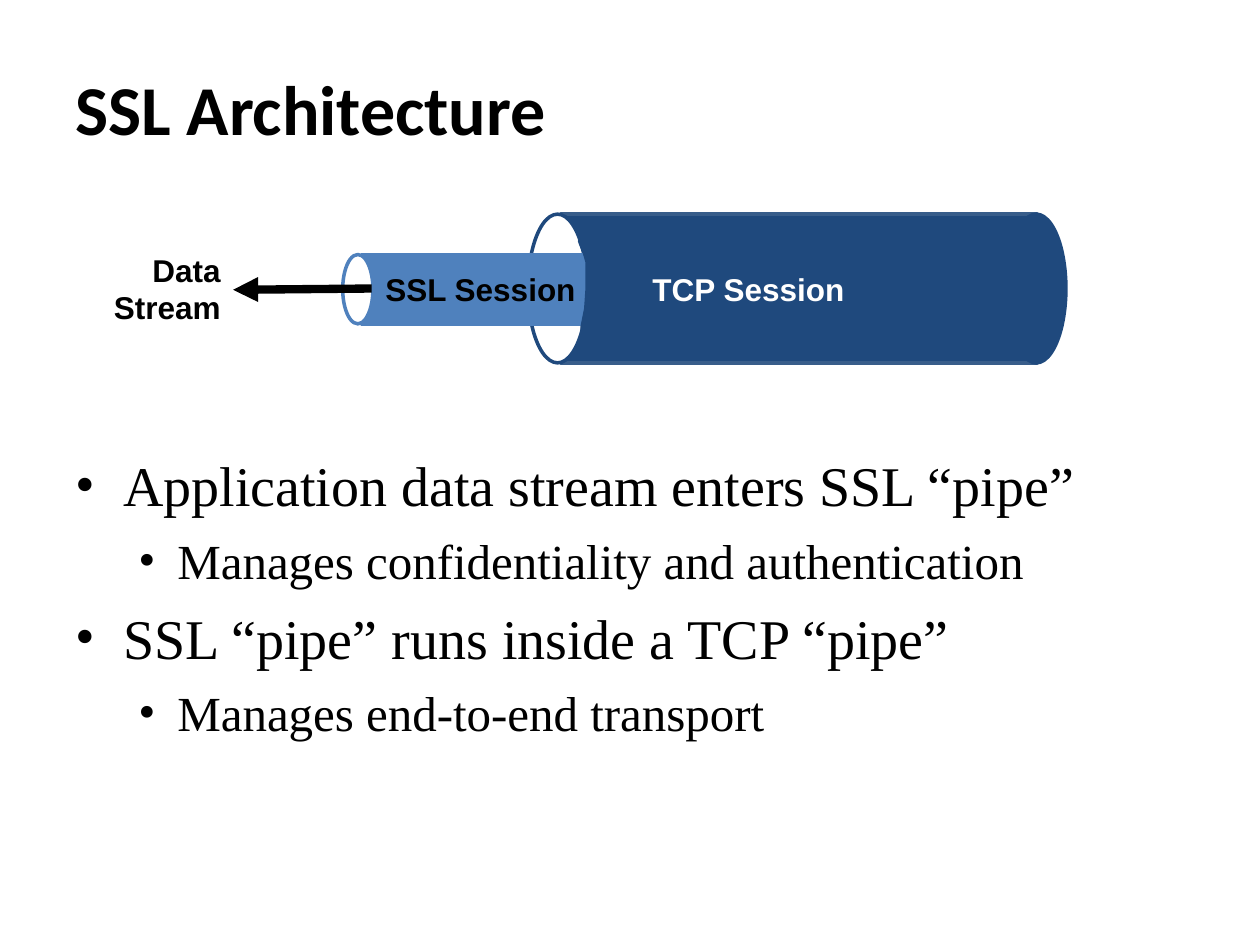
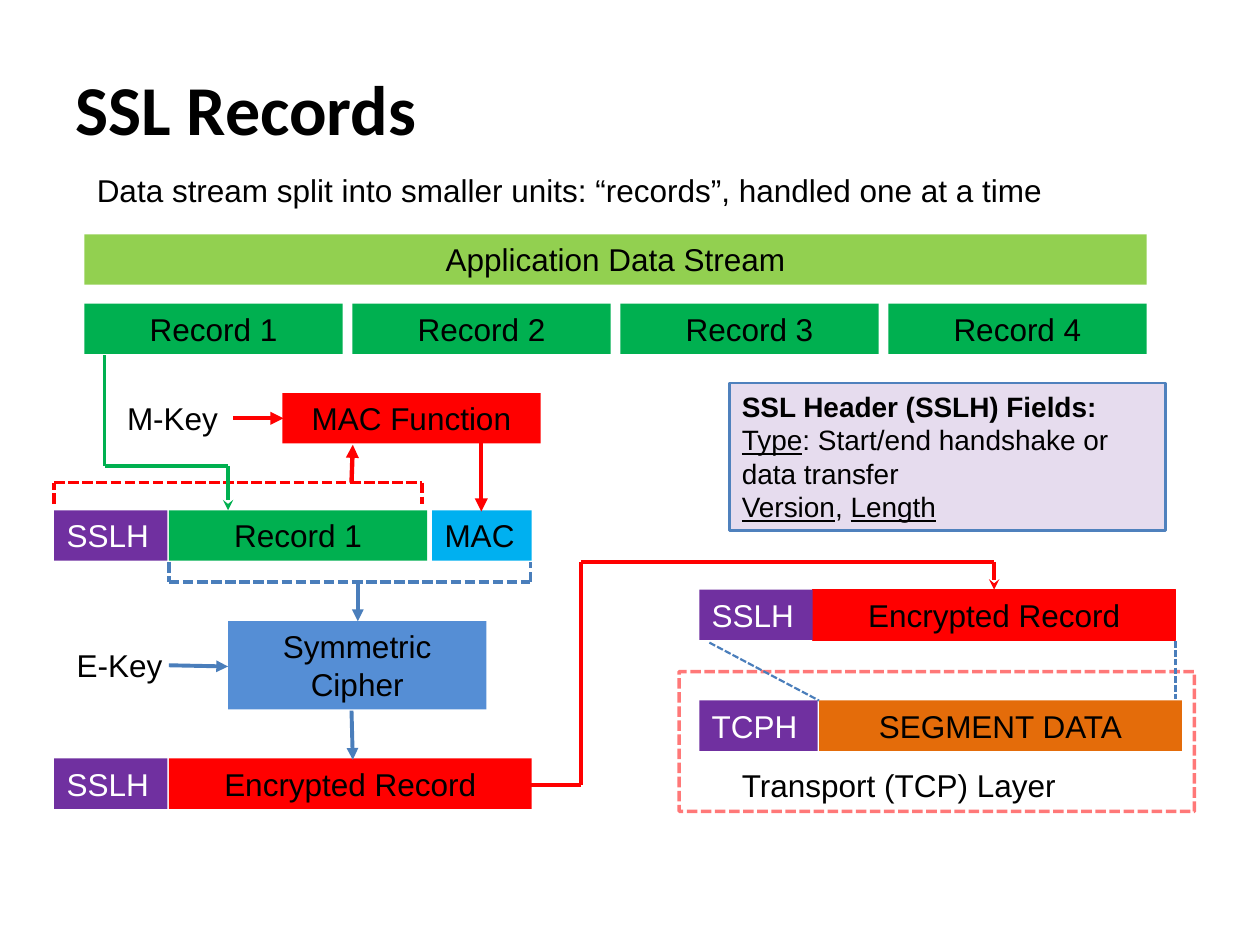
from dataclasses import dataclass
from typing import Optional

from lxml.etree import SubElement
from pptx import Presentation
from pptx.dml.color import RGBColor
from pptx.enum.dml import MSO_LINE
from pptx.enum.shapes import MSO_CONNECTOR, MSO_SHAPE
from pptx.enum.text import MSO_ANCHOR, PP_ALIGN
from pptx.oxml.ns import qn
from pptx.util import Inches, Pt


@dataclass(frozen=True)
class Theme:
    black: str = "000000"
    white: str = "FFFFFF"
    navy: str = "1F497D"
    navy_edge: str = "385D8A"
    blue: str = "4F81BD"
    line_blue: str = "4A7EBB"
    cipher_blue: str = "558ED5"
    sky: str = "00B0F0"
    green: str = "00B050"
    lime: str = "92D050"
    red: str = "FF0000"
    purple: str = "7030A0"
    orange: str = "E46C0A"
    title_font: str = "Calibri"
    label_font: str = "Arial"
    body_font: str = "Times New Roman"
    title_size: int = 40
    label_size: int = 18
    note_size: int = 16
    body_sizes: tuple = (32, 28)


THEME = Theme()
ROW_HEIGHT = 0.4
Point = tuple[float, float]


@dataclass(frozen=True)
class Run:
    text: str
    bold: bool = False
    underline: bool = False


@dataclass(frozen=True)
class Box:
    """A preset shape, or plain text when it has neither fill nor edge."""
    left: float
    top: float
    width: float
    height: float = ROW_HEIGHT
    text: str = ""
    fill: Optional[str] = None
    edge: Optional[str] = None
    edge_width: float = 2
    kind: MSO_SHAPE = MSO_SHAPE.RECTANGLE
    color: str = THEME.black
    align: PP_ALIGN = PP_ALIGN.CENTER
    bold: bool = False
    dashed: bool = False


@dataclass(frozen=True)
class Route:
    """Straight lines through the points, with an optional end arrow."""
    points: tuple[Point, ...]
    color: str
    width: float = 2
    arrow: str = ""
    dashed: bool = False


def set_all(target, values: dict) -> None:
    for name, value in values.items():
        setattr(target, name, value)


def add_run(paragraph, run: Run, size: int, font_name: str, color: str) -> None:
    text_run = paragraph.add_run()
    text_run.text = run.text
    set_all(text_run.font, {"size": Pt(size), "name": font_name,
                            "bold": run.bold, "underline": run.underline})
    text_run.font.color.rgb = RGBColor.from_string(color)


def set_alpha(parent, percent: int) -> None:
    color = next(parent.iter(qn("a:srgbClr")))
    SubElement(color, qn("a:alpha"), val=str(percent * 1000))


def set_frame(shape, anchor: MSO_ANCHOR = MSO_ANCHOR.TOP):
    set_all(shape.text_frame, {
        "word_wrap": True, "vertical_anchor": anchor,
        "margin_left": Inches(0.1), "margin_right": Inches(0.1),
        "margin_top": Inches(0.05), "margin_bottom": Inches(0.05)})
    return shape.text_frame


def paint(shape, fill: Optional[str], edge: Optional[str], width: float) -> None:
    shape.shadow.inherit = False
    if fill:
        shape.fill.solid()
        shape.fill.fore_color.rgb = RGBColor.from_string(fill)
    else:
        shape.fill.background()
    if edge:
        shape.line.color.rgb = RGBColor.from_string(edge)
        shape.line.width = Pt(width)
    else:
        shape.line.fill.background()


def add_box(slide, box: Box):
    place = [Inches(value) for value in (box.left, box.top, box.width, box.height)]
    if box.fill or box.edge:
        shape = slide.shapes.add_shape(box.kind, *place)
        paint(shape, box.fill, box.edge, box.edge_width)
        if box.dashed:
            shape.line.dash_style = MSO_LINE.SQUARE_DOT
    else:
        shape = slide.shapes.add_textbox(*place)
    if box.text:
        paragraph = set_frame(shape).paragraphs[0]
        paragraph.alignment = box.align
        add_run(paragraph, Run(box.text, box.bold), THEME.label_size,
                THEME.label_font, box.color)
    return shape


def add_route(slide, route: Route) -> None:
    last = len(route.points) - 2
    for index, (start, end) in enumerate(zip(route.points, route.points[1:])):
        connector = slide.shapes.add_connector(
            MSO_CONNECTOR.STRAIGHT, *(Inches(value) for value in start + end))
        connector.line.color.rgb = RGBColor.from_string(route.color)
        connector.line.width = Pt(route.width)
        if route.dashed:
            connector.line.dash_style = MSO_LINE.SQUARE_DOT
        properties = connector.element.spPr
        if route.arrow and index == last:
            SubElement(properties.find(qn("a:ln")), qn("a:tailEnd"), type=route.arrow)
        SubElement(properties, qn("a:effectLst"))


def add_title_slide(presentation, title: str):
    slide = presentation.slides.add_slide(presentation.slide_layouts[6])
    shape = slide.shapes.add_textbox(Inches(0.5), Inches(0.31), Inches(9), Inches(1.09))
    paragraph = set_frame(shape, MSO_ANCHOR.MIDDLE).paragraphs[0]
    add_run(paragraph, Run(title, bold=True), THEME.title_size,
            THEME.title_font, THEME.black)
    return slide


def add_bullets(slide, items: list[tuple[int, str]]) -> None:
    indents = ((0.38, -0.38, 8), (0.81, -0.31, 7))
    shape = slide.shapes.add_textbox(Inches(0.5), Inches(3.53), Inches(9), Inches(2.87))
    frame = set_frame(shape)
    for index, (level, text) in enumerate(items):
        paragraph = frame.add_paragraph() if index else frame.paragraphs[0]
        margin, hanging, space = indents[level]
        properties = paragraph._p.get_or_add_pPr()
        properties.set("marL", str(Inches(margin)))
        properties.set("indent", str(Inches(hanging)))
        SubElement(properties, qn("a:buFont"), typeface=THEME.body_font)
        SubElement(properties, qn("a:buChar"), char="•")
        paragraph.level = level
        if index:
            paragraph.space_before = Pt(space)
        add_run(paragraph, Run(text), THEME.body_sizes[level],
                THEME.body_font, THEME.black)


def build_architecture(presentation) -> None:
    slide = add_title_slide(presentation, "SSL Architecture")
    oval = MSO_SHAPE.OVAL

    # TCP pipe with the SSL pipe entering it
    for part in (
        Box(4.45, 1.7, 3.78, 1.18, fill=THEME.navy, edge=THEME.navy_edge),
        Box(4.19, 1.7, 0.47, 1.18, fill=THEME.white, edge=THEME.navy, kind=oval),
        Box(7.99, 1.7, 0.47, 1.18, fill=THEME.navy, edge=THEME.navy, kind=oval),
        Box(2.87, 2.02, 1.79, 0.55, fill=THEME.blue, edge=THEME.blue),
        Box(2.72, 2.02, 0.24, 0.55, fill=THEME.white, edge=THEME.blue, kind=oval),
    ):
        add_box(slide, part)

    # Curved rim that hides the end of the SSL pipe
    rim = [(Inches(x), Inches(y)) for x, y in (
        (4.61, 1.94), (4.64, 2.01), (4.66, 2.08), (4.66, 2.3), (4.65, 2.45),
        (4.62, 2.6), (4.62, 2.65), (4.66, 2.68), (4.75, 2.7), (4.85, 2.68),
        (5.05, 2.44), (5.16, 2.24), (5.1, 2.03), (4.98, 1.89), (4.81, 1.86),
        (4.64, 1.88), (4.6, 1.91))]
    builder = slide.shapes.build_freeform(*rim[0])
    builder.add_line_segments(rim[1:], close=True)
    paint(builder.convert_to_shape(), THEME.navy, THEME.navy, 2)

    # Data stream arrow and labels
    add_route(slide, Route(((2.95, 2.29), (1.85, 2.3)), THEME.black, 4.75, "triangle"))
    for label in (
        Box(2.96, 2.09, 1.89, text="SSL Session", align=PP_ALIGN.LEFT, bold=True),
        Box(5.08, 2.09, 2.28, text="TCP Session", align=PP_ALIGN.LEFT, bold=True,
            color=THEME.white),
        Box(0.67, 1.94, 1.18, 0.7, "Data Stream", align=PP_ALIGN.RIGHT, bold=True),
    ):
        add_box(slide, label)

    add_bullets(slide, [
        (0, "Application data stream enters SSL “pipe”"),
        (1, "Manages confidentiality and authentication"),
        (0, "SSL “pipe” runs inside a TCP “pipe”"),
        (1, "Manages end-to-end transport"),
    ])


def header(left: float, top: float, text: str = "SSLH", width: float = 0.9) -> Box:
    return Box(left, top, width, text=text, fill=THEME.purple, color=THEME.white,
               align=PP_ALIGN.LEFT)


def label(left: float, top: float, width: float, text: str) -> Box:
    return Box(left, top, width, text=text, align=PP_ALIGN.LEFT)


def bracket(left: float, right: float, bar: float, tips: float, color: str) -> Route:
    return Route(((left, tips), (left, bar), (right, bar), (right, tips)),
                 color, dashed=True)


def add_field_note(slide) -> None:
    note = add_box(slide, Box(5.79, 3.04, 3.46, 1.17, fill=THEME.purple,
                              edge=THEME.blue, edge_width=1.5))
    set_alpha(note.element.spPr.find(qn("a:solidFill")), 17)
    frame = set_frame(note)
    lines = (
        (Run("SSL Header (SSLH) Fields:", bold=True),),
        (Run("Type", underline=True), Run(": Start/end handshake or data transfer")),
        (Run("Version", underline=True), Run(", "), Run("Length", underline=True)),
    )
    for index, runs in enumerate(lines):
        paragraph = frame.add_paragraph() if index else frame.paragraphs[0]
        paragraph.alignment = PP_ALIGN.LEFT
        for run in runs:
            add_run(paragraph, run, THEME.note_size, THEME.label_font, THEME.black)


def build_records(presentation) -> None:
    slide = add_title_slide(presentation, "SSL Records")
    left, width, record_width, count = 0.67, 8.43, 2.05, 4
    step = (width - record_width) / (count - 1)

    # Stream and its records
    add_box(slide, label(left, 1.31, 8.27, "Data stream split into smaller units: "
                         "“records”, handled one at a time"))
    add_box(slide, Box(left, 1.86, width, text="Application Data Stream", fill=THEME.lime))
    for index in range(count):
        add_box(slide, Box(left + index * step, 2.41, record_width,
                           text=f"Record {index + 1}", fill=THEME.green))

    # Processing steps and the TCP segment
    for box in (
        Box(2.24, 3.12, record_width, text="MAC Function", fill=THEME.red),
        label(0.91, 3.12, 1.02, "M-Key"),
        header(0.43, 4.05),
        Box(1.34, 4.05, record_width, text="Record 1", fill=THEME.green),
        Box(3.43, 4.05, 0.79, text="MAC", fill=THEME.sky, align=PP_ALIGN.LEFT),
        Box(1.81, 4.93, record_width, 0.7, "Symmetric Cipher", THEME.cipher_blue),
        label(0.51, 5.08, 1.02, "E-Key"),
        header(0.43, 6.02),
        Box(1.34, 6.02, 2.88, text="Encrypted Record", fill=THEME.red),
        Box(6.45, 4.68, 2.88, text="Encrypted Record", fill=THEME.red,
            edge=THEME.red, edge_width=0.75),
        header(5.55, 4.68),
        Box(6.5, 5.56, 2.88, text="SEGMENT DATA", fill=THEME.orange),
        header(5.55, 5.56, "TCPH", 0.94),
        label(5.79, 6.03, 2.76, "Transport (TCP) Layer"),
    ):
        add_box(slide, box)
    layer = add_box(slide, Box(5.39, 5.33, 4.09, 1.11, edge=THEME.red, dashed=True))
    set_alpha(layer.element.spPr.find(qn("a:ln")), 52)

    # Brackets, flow arrows and guide lines
    for route in (
        bracket(0.43, 3.35, 3.83, 4.0, THEME.red),
        bracket(1.34, 4.21, 4.62, 4.46, THEME.line_blue),
        Route(((0.83, 2.82), (0.83, 3.7), (1.81, 3.7), (1.81, 4.05)),
              THEME.green, arrow="stealth"),
        Route(((4.21, 6.23), (4.61, 6.23), (4.61, 4.46), (7.89, 4.46), (7.89, 4.68)),
              THEME.red, arrow="stealth"),
        Route(((1.85, 3.32), (2.25, 3.32)), THEME.red, 2.5, "triangle"),
        Route(((3.82, 3.52), (3.82, 4.06)), THEME.red, 2.5, "triangle"),
        Route(((2.79, 3.83), (2.8, 3.53)), THEME.red, 2.5, "triangle"),
        Route(((2.84, 4.62), (2.84, 4.93)), THEME.line_blue, 2.25, "triangle"),
        Route(((1.34, 5.28), (1.81, 5.29)), THEME.line_blue, 2.25, "triangle"),
        Route(((2.79, 5.64), (2.8, 6.03)), THEME.line_blue, 2.25, "triangle"),
        Route(((5.63, 5.1), (6.5, 5.56)), THEME.line_blue, 1.25, dashed=True),
        Route(((9.33, 5.09), (9.33, 5.55)), THEME.line_blue, 1.25, dashed=True),
    ):
        add_route(slide, route)
    add_field_note(slide)


def main() -> None:
    presentation = Presentation()
    presentation.slide_width, presentation.slide_height = Inches(10), Inches(7.5)
    build_architecture(presentation)
    build_records(presentation)
    presentation.save("out.pptx")


if __name__ == "__main__":
    main()
